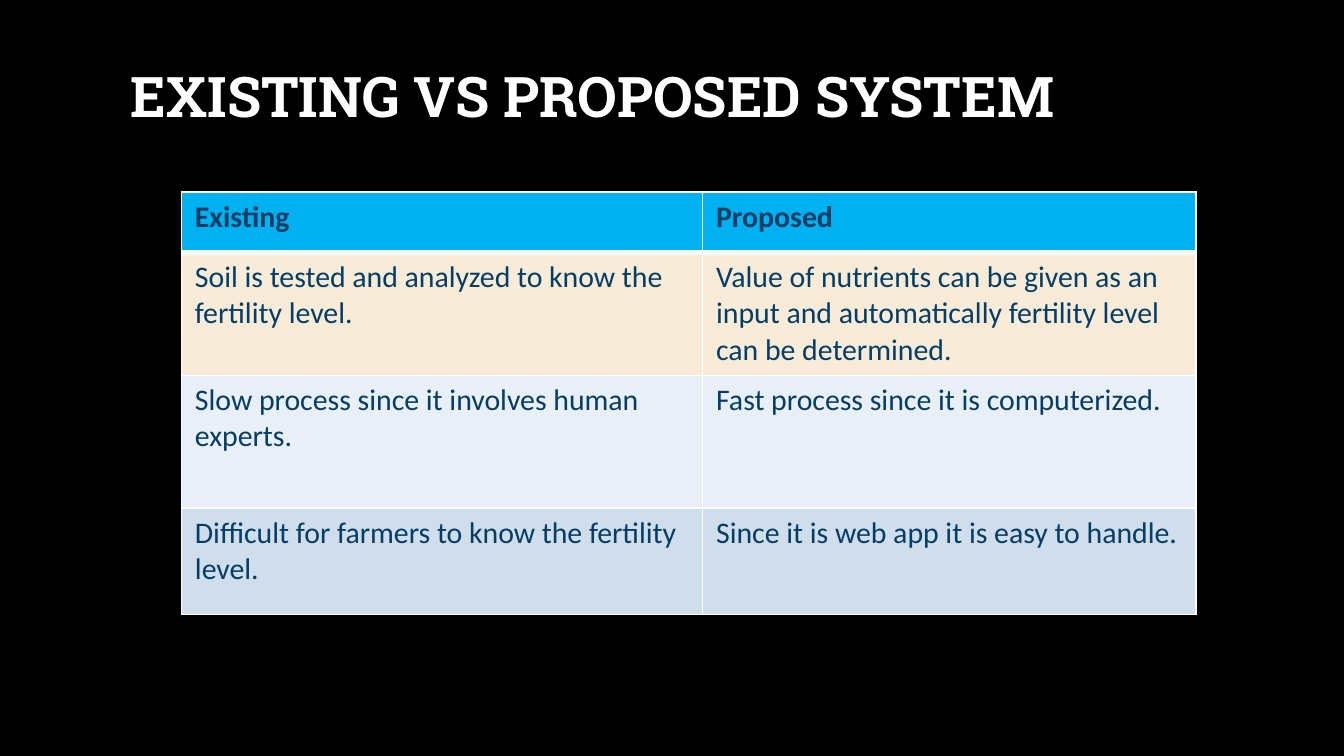
from dataclasses import dataclass

from lxml import etree
from pptx import Presentation
from pptx.dml.color import RGBColor
from pptx.enum.text import MSO_ANCHOR, MSO_AUTO_SIZE, PP_ALIGN
from pptx.oxml.ns import qn
from pptx.util import Cm, Pt

LEFT = PP_ALIGN.LEFT
MIDDLE = MSO_ANCHOR.MIDDLE
NO_AUTOFIT = MSO_AUTO_SIZE.NONE

BLACK = RGBColor(0x00, 0x00, 0x00)
WHITE = RGBColor(0xFF, 0xFF, 0xFF)
NAVY = RGBColor(0x04, 0x3D, 0x66)
BRIGHT_BLUE = RGBColor(0x00, 0xB0, 0xF0)
CREAM = RGBColor(0xF8, 0xEB, 0xD8)
PALE_BLUE = RGBColor(0xE9, 0xEF, 0xF6)
SOFT_BLUE = RGBColor(0xD0, 0xDE, 0xEC)

TITLE_ONLY = 5
COLUMN_WIDTHS = (9.85, 9.32)


@dataclass(frozen=True)
class ComparisonRow:
    existing: str
    proposed: str
    height: float
    fill: RGBColor
    is_header: bool = False


ROWS = (
    ComparisonRow("Existing", "Proposed", 1.14, BRIGHT_BLUE, True),
    ComparisonRow(
        "Soil is tested and analyzed to know the fertility level.",
        "Value of nutrients can be given as an input and automatically "
        "fertility level can be determined.",
        2.21, CREAM,
    ),
    ComparisonRow(
        "Slow process since it involves human experts.",
        "Fast process since it is computerized.",
        2.51, PALE_BLUE,
    ),
    ComparisonRow(
        "Difficult for farmers to know the fertility level.",
        "Since it is web app it is easy to handle.",
        2.01, SOFT_BLUE,
    ),
)


def set_borders(cell, top: float, bottom: float) -> None:
    """Draw white cell borders; widths are in points, the sides are 1 pt."""
    properties = cell._tc.get_or_add_tcPr()
    widths = {"lnL": 1, "lnR": 1, "lnT": top, "lnB": bottom}
    for position, (side, width) in enumerate(widths.items()):
        line = etree.Element(qn(f"a:{side}"), w=str(Pt(width)))
        fill = etree.SubElement(line, qn("a:solidFill"))
        etree.SubElement(fill, qn("a:srgbClr"), val=str(WHITE))
        properties.insert(position, line)


def fill_cell(cell, text: str, row: ComparisonRow, top: float) -> None:
    cell.text = text
    cell.fill.solid()
    cell.fill.fore_color.rgb = row.fill
    font = cell.text_frame.paragraphs[0].font
    font.name = "Calibri"
    font.size = Pt(16)
    font.bold = row.is_header
    font.color.rgb = NAVY
    set_borders(cell, top, 3 if row.is_header else 1)


def add_comparison(slide, rows: tuple[ComparisonRow, ...]) -> None:
    table = slide.shapes.add_table(
        len(rows), len(COLUMN_WIDTHS), Cm(3.43), Cm(3.63),
        Cm(sum(COLUMN_WIDTHS)), Cm(sum(row.height for row in rows)),
    ).table
    for column, width in zip(table.columns, COLUMN_WIDTHS):
        column.width = Cm(width)
    for index, row in enumerate(rows):
        table.rows[index].height = Cm(row.height)
        top = 3 if index and rows[index - 1].is_header else 1
        for cell, text in zip(table.rows[index].cells, (row.existing, row.proposed)):
            fill_cell(cell, text, row, top)


def format_title(title, text: str) -> None:
    title.left, title.top = Cm(1.96), Cm(0.58)
    title.width, title.height = Cm(22.63), Cm(2.24)
    frame = title.text_frame
    frame.text = text
    frame.word_wrap = True
    frame.auto_size = NO_AUTOFIT
    frame.vertical_anchor = MIDDLE
    frame.margin_left = Cm(0.51)
    frame.margin_top = frame.margin_right = frame.margin_bottom = Cm(0.25)
    para = frame.paragraphs[0]
    para.alignment = LEFT
    para.line_spacing = 1.15
    para.space_after = Pt(16)
    para.font.name = "Roboto Slab"
    para.font.size = Pt(30)
    para.font.bold = True
    para.font.color.rgb = WHITE


def main() -> None:
    deck = Presentation()
    deck.slide_width, deck.slide_height = Cm(25.4), Cm(14.29)
    slide = deck.slides.add_slide(deck.slide_layouts[TITLE_ONLY])
    slide.background.fill.solid()
    slide.background.fill.fore_color.rgb = BLACK
    format_title(slide.shapes.title, "EXISTING VS PROPOSED SYSTEM")
    add_comparison(slide, ROWS)
    deck.save("out.pptx")


if __name__ == "__main__":
    main()
